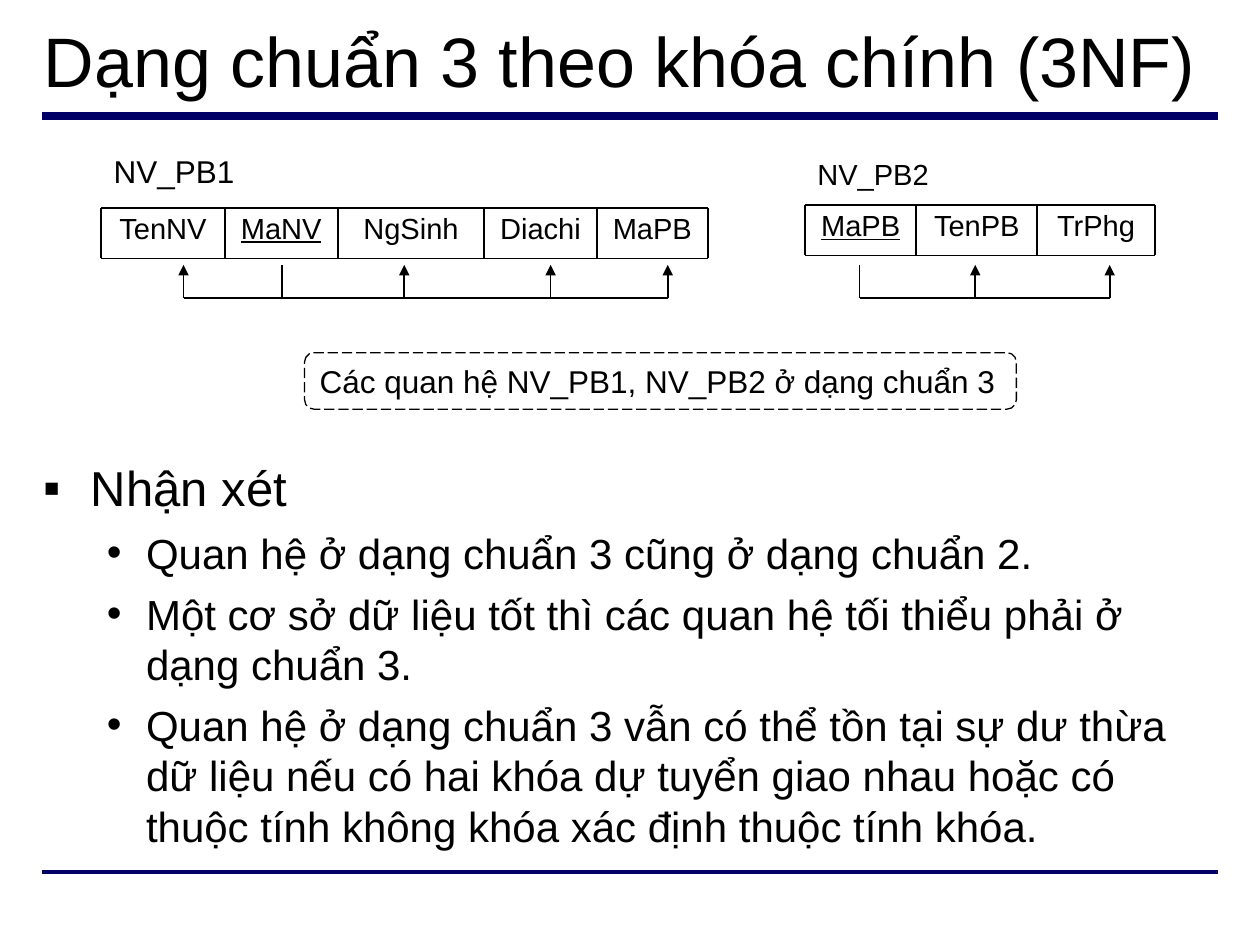
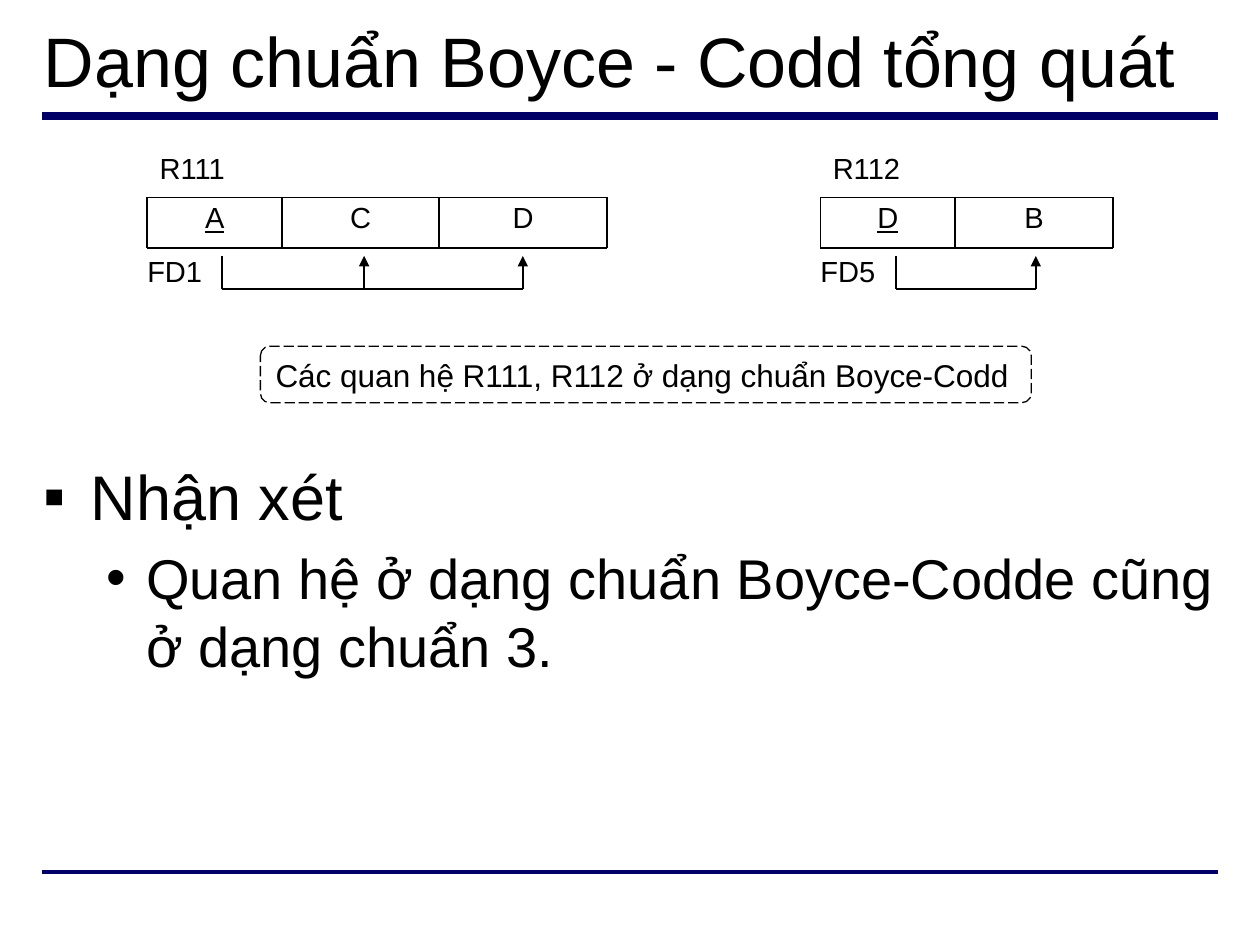
import lxml.etree
import pptx
import pptx.dml.color
import pptx.enum.dml
import pptx.enum.shapes
import pptx.enum.text
import pptx.oxml.ns
import pptx.util

Cm = pptx.util.Cm
Pt = pptx.util.Pt
qn = pptx.oxml.ns.qn

FONT = "Arial"
BLACK = "000000"
WHITE = "FFFFFF"
NAVY = "000066"
CELL_SIZE = 16.6
ROW_HEIGHT = 1.02
BRACKET_DEPTH = 0.66
BULLETS = [("▪", 0.95, 0.95), ("•", 2.06, 0.79)]


def color(value):
    return pptx.dml.color.RGBColor.from_string(value)


def place(shape, left, top, width, height):
    shape.left, shape.top = Cm(left), Cm(top)
    shape.width, shape.height = Cm(width), Cm(height)


def format_paragraph(paragraph, size, align="LEFT", spacing=1, underline=None):
    paragraph.alignment = getattr(pptx.enum.text.PP_ALIGN, align)
    paragraph.line_spacing = spacing
    paragraph.space_before = Pt(0)
    font = paragraph.font
    font.name, font.size, font.underline = FONT, Pt(size), underline
    font.color.rgb = color(BLACK)


def write_text(shape, text, size, anchor="TOP", **style):
    frame = shape.text_frame
    frame.word_wrap = True
    frame.vertical_anchor = getattr(pptx.enum.text.MSO_ANCHOR, anchor)
    frame.text = text
    format_paragraph(frame.paragraphs[0], size, **style)


def add_line(slide, start, end, line_color=BLACK, width=1, arrow=False):
    connector = slide.shapes.add_connector(
        pptx.enum.shapes.MSO_CONNECTOR.STRAIGHT, *map(Cm, start + end))
    connector.line.color.rgb = color(line_color)
    connector.line.width = Pt(width)
    properties = connector.element.spPr
    if arrow:
        lxml.etree.SubElement(properties.find(qn("a:ln")), qn("a:tailEnd"), type="triangle")
    lxml.etree.SubElement(properties, qn("a:effectLst"))


def add_box(slide, kind, left, top, width, height):
    box = slide.shapes.add_shape(kind, *map(Cm, (left, top, width, height)))
    box.shadow.inherit = False
    return box


def add_label(slide, text, left, top, width, height=ROW_HEIGHT, size=CELL_SIZE,
              spacing=0.9, **style):
    label = add_box(slide, pptx.enum.shapes.MSO_SHAPE.RECTANGLE, left, top, width, height)
    label.fill.solid()
    label.fill.fore_color.rgb = color(WHITE)
    label.line.fill.background()
    write_text(label, text, size, spacing=spacing, **style)
    return label


def add_relation_row(slide, columns, left, top, key=0):
    edges = [left]
    for index, (name, width) in enumerate(columns):
        add_label(slide, name, edges[-1], top, width, align="CENTER",
                  underline=True if index == key else None)
        edges.append(edges[-1] + width)
    bottom = top + ROW_HEIGHT
    for y in (top, bottom):
        add_line(slide, (left, y), (edges[-1], y))
    for x in edges:
        add_line(slide, (x, top), (x, bottom))


def add_dependency(slide, positions, tip, key=0):
    base = tip + BRACKET_DEPTH
    add_line(slide, (positions[0], base), (positions[-1], base))
    for index, x in enumerate(positions):
        add_line(slide, (x, base), (x, tip), arrow=index != key)


def add_conclusion(slide, text, left, top, width):
    box = add_box(slide, pptx.enum.shapes.MSO_SHAPE.ROUNDED_RECTANGLE, left, top, width, 1.14)
    box.fill.background()
    box.line.color.rgb = color(BLACK)
    box.line.width = Pt(0.75)
    box.line.dash_style = pptx.enum.dml.MSO_LINE.LONG_DASH
    write_text(box, text, 18, anchor="MIDDLE")


def fill_body(slide, items, sizes, height):
    body = slide.placeholders[1]
    place(body, 0.63, 9.1, 24.13, height)
    frame = body.text_frame
    frame.auto_size = pptx.enum.text.MSO_AUTO_SIZE.NONE
    for index, (level, text) in enumerate(items):
        paragraph = frame.add_paragraph() if index else frame.paragraphs[0]
        paragraph.text = text
        paragraph.level = level
        bullet, margin, hanging = BULLETS[level]
        properties = paragraph._p.get_or_add_pPr()
        properties.set("marL", str(Cm(margin)))
        properties.set("indent", str(-Cm(hanging)))
        lxml.etree.SubElement(properties, qn("a:buFont"), typeface=FONT)
        lxml.etree.SubElement(properties, qn("a:buChar"), char=bullet)
        format_paragraph(paragraph, sizes[level])
        if index:
            paragraph.space_before = Pt(6)


def add_content_slide(presentation, title):
    slide = presentation.slides.add_slide(presentation.slide_layouts[1])
    place(slide.shapes.title, 0.63, 0.22, 24.13, 1.95)
    slide.shapes.title.text_frame.auto_size = pptx.enum.text.MSO_AUTO_SIZE.NONE
    write_text(slide.shapes.title, title, 40, anchor="MIDDLE")
    for y, width in ((2.33, 4.5), (17.57, 2.25)):
        add_line(slide, (0.84, y), (24.56, y), NAVY, width)
    return slide


def add_third_form(presentation):
    slide = add_content_slide(presentation, "Dạng chuẩn 3 theo khóa chính (3NF)")
    fill_body(slide, [
        (0, "Nhận xét"),
        (1, "Quan hệ ở dạng chuẩn 3 cũng ở dạng chuẩn 2."),
        (1, "Một cơ sở dữ liệu tốt thì các quan hệ tối thiểu phải ở dạng chuẩn 3."),
        (1, "Quan hệ ở dạng chuẩn 3 vẫn có thể tồn tại sự dư thừa dữ liệu nếu có hai "
            "khóa dự tuyển giao nhau hoặc có thuộc tính không khóa xác định thuộc tính khóa."),
    ], (28, 24), 8.23)
    add_label(slide, "NV_PB1", 2.04, 2.95, 7.7, 1.24, size=18, spacing=1)
    add_relation_row(slide, [("TenNV", 2.49), ("MaNV", 2.28), ("NgSinh", 2.95),
                             ("Diachi", 2.27), ("MaPB", 2.24)], 2.04, 4.19, key=1)
    add_dependency(slide, (3.7, 5.69, 8.15, 11.1, 13.46), 5.34, key=1)
    add_label(slide, "NV_PB2", 16.23, 3.11, 7.05)
    add_relation_row(slide, [("MaPB", 2.24), ("TenPB", 2.44), ("TrPhg", 2.37)], 16.23, 4.13)
    add_dependency(slide, (17.33, 19.66, 22.37), 5.34)
    add_conclusion(slide, "Các quan hệ NV_PB1, NV_PB2 ở dạng chuẩn 3", 6.14, 7.11, 14.35)


def add_boyce_codd_form(presentation):
    slide = add_content_slide(presentation, "Dạng chuẩn Boyce - Codd tổng quát")
    fill_body(slide, [
        (0, "Nhận xét"),
        (1, "Quan hệ ở dạng chuẩn Boyce-Codde cũng ở dạng chuẩn 3."),
    ], (36, 32), 7.92)
    relations = [
        ("R111", "FD1", 2.97, [("A", 2.72), ("C", 3.16), ("D", 3.39)], (4.47, 7.34, 10.54)),
        ("R112", "FD5", 16.54, [("D", 2.72), ("B", 3.17)], (18.06, 20.88)),
    ]
    for name, dependency, left, columns, positions in relations:
        add_label(slide, name, left, 2.98, 2.72)
        dependency_label = add_label(slide, dependency, left, 4.99, 2.72, anchor="MIDDLE")
        dependency_label.text_frame.margin_left = 0
        add_relation_row(slide, columns, left, 3.98)
        add_dependency(slide, positions, 5.16)
    add_conclusion(slide, "Các quan hệ R111, R112 ở dạng chuẩn Boyce-Codd", 5.25, 6.98, 15.54)


def main():
    presentation = pptx.Presentation()
    presentation.slide_width, presentation.slide_height = Cm(25.4), Cm(19.05)
    add_third_form(presentation)
    add_boyce_codd_form(presentation)
    presentation.save("out.pptx")


if __name__ == "__main__":
    main()
